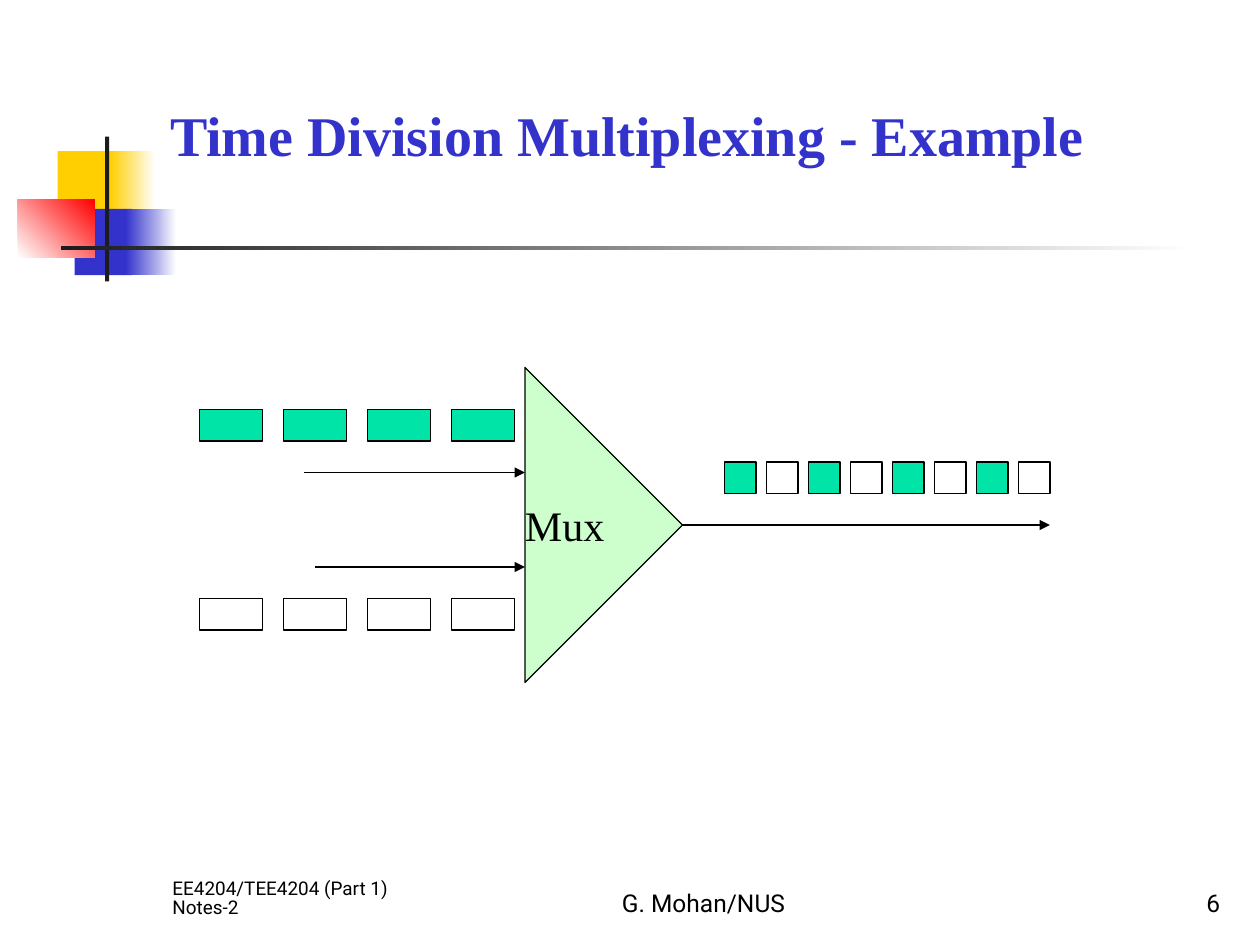
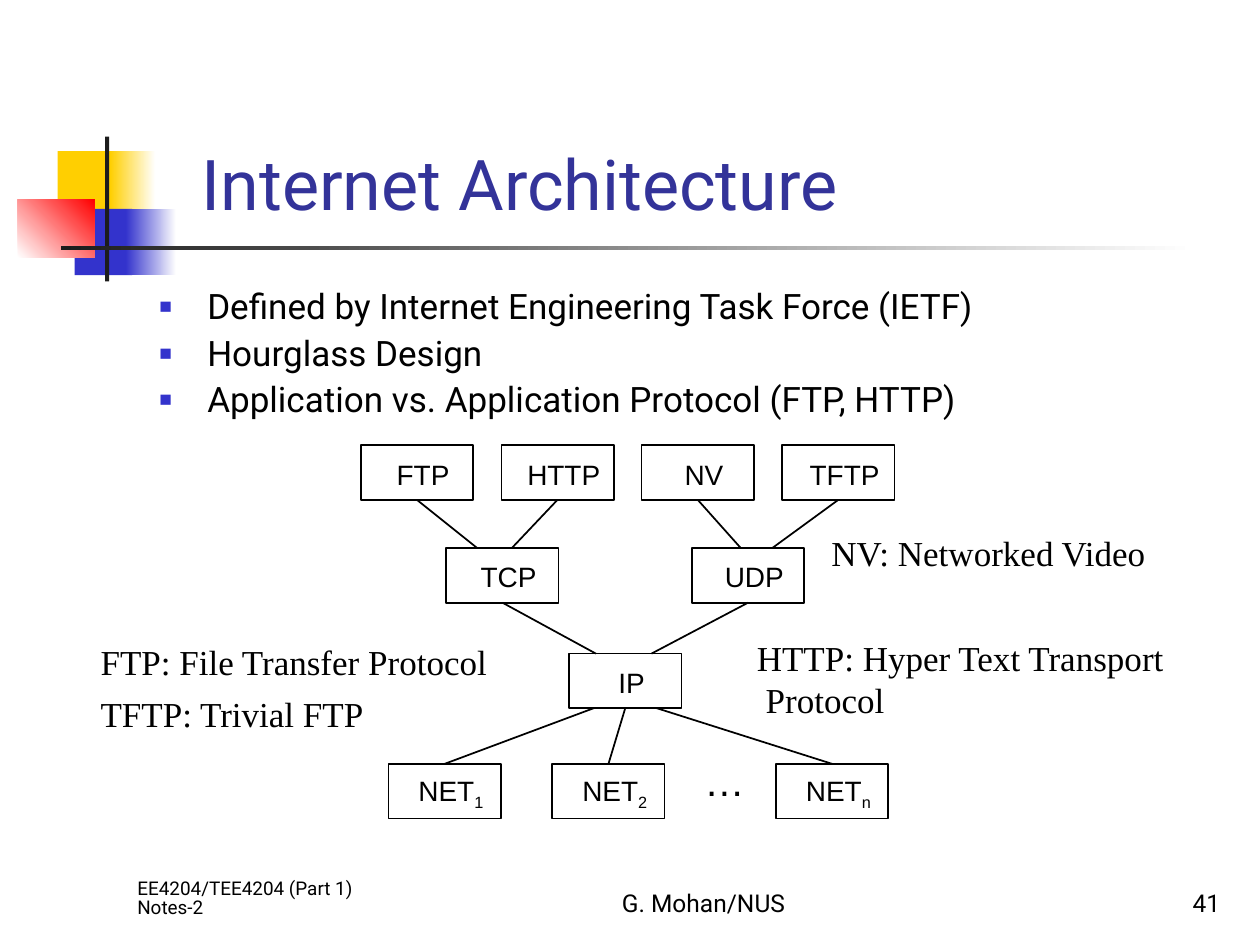
from lxml.etree import SubElement
from pptx import Presentation
from pptx.dml.color import RGBColor
from pptx.enum.shapes import MSO_CONNECTOR, MSO_SHAPE
from pptx.enum.text import MSO_ANCHOR, MSO_AUTO_SIZE, PP_ALIGN
from pptx.oxml.ns import qn
from pptx.util import Inches, Pt

BLACK, WHITE, BLUE, YELLOW = "000000", "FFFFFF", "3333CC", "FFCF01"
CHARCOAL, RED, GREEN, MINT = "1C1C1C", "FF0000", "00E4A8", "CCFFCC"
SERIF, SANS, LABEL = "Times New Roman", "Roboto", "Arial"
CELL = 1 / 12


def place(slide, box, kind=MSO_SHAPE.RECTANGLE, fill=None, outline=None, angle=0):
    area = [Inches(cells * CELL) for cells in box]
    if kind is None:
        return slide.shapes.add_textbox(*area)
    shape = slide.shapes.add_shape(kind, *area)
    shape.shadow.inherit = False
    if isinstance(fill, tuple):
        shape.fill.gradient()
        shape.fill.gradient_angle = angle
        for stop, shade in zip(shape.fill.gradient_stops, fill):
            stop.color.rgb = RGBColor.from_string(shade)
    elif fill:
        shape.fill.solid()
        shape.fill.fore_color.rgb = RGBColor.from_string(fill)
    else:
        shape.fill.background()
    if outline:
        shape.line.color.rgb = RGBColor.from_string(BLACK)
        shape.line.width = Pt(outline)
    else:
        shape.line.fill.background()
    return shape


def write(shape, text, font=SERIF, size=20, color=BLACK, bold=False, align=PP_ALIGN.LEFT,
          anchor=MSO_ANCHOR.TOP, margins=(0.1, 0.05, 0.1, 0.05), spacing=1.0,
          before=0, bullet=None, subscript=None):
    frame = shape.text_frame
    frame.word_wrap = True
    frame.auto_size = MSO_AUTO_SIZE.NONE
    frame.vertical_anchor = anchor
    frame.margin_left, frame.margin_top, frame.margin_right, frame.margin_bottom = map(Inches, margins)
    for index, line in enumerate(text.split("\n")):
        paragraph = frame.add_paragraph() if index else frame.paragraphs[0]
        paragraph.alignment = align
        paragraph.line_spacing = spacing
        paragraph.space_before = Pt(before if index else 0)
        if bullet:
            properties = paragraph._p.get_or_add_pPr()
            properties.set("marL", str(Inches(0.38)))
            properties.set("indent", str(-Inches(0.38)))
            SubElement(SubElement(properties, qn("a:buClr")), qn("a:srgbClr"), val=BLUE)
            SubElement(properties, qn("a:buSzPct"), val="60000")
            SubElement(properties, qn("a:buFont"), typeface=LABEL)
            SubElement(properties, qn("a:buChar"), char=bullet)
        for part in filter(None, (line, subscript)):
            run = paragraph.add_run()
            run.text = part
            run.font.name = font
            run.font.size = Pt(size)
            run.font.bold = bold
            run.font.color.rgb = RGBColor.from_string(color)
            if part is subscript:
                run.font._element.set("baseline", "-25000")


deck = Presentation()
deck.slide_width, deck.slide_height = Inches(10), Inches(7.5)
title_only = deck.slide_layouts[5]
multiplexing = deck.slides.add_slide(title_only)
architecture = deck.slides.add_slide(title_only)

ornaments = [
    ((5.5, 14.4, 5.8, 6.3), YELLOW, 0),
    ((10.5, 14.4, 4.3, 6.3), (YELLOW, WHITE), 0),
    ((7.1, 19.9, 5.5, 6.3), BLUE, 0),
    ((12, 19.9, 4.8, 6.3), (BLUE, WHITE), 0),
    ((1.7, 19, 7.3, 5.5), (WHITE, RED), 45),
    ((10, 13, 0.4, 13.8), CHARCOAL, 0),
    ((5.8, 23.4, 108, 0.4), (CHARCOAL, WHITE), 0),
]
headings = [
    (multiplexing, "Time Division Multiplexing - Example", (15, 9, 94, 7.7),
     dict(size=32, color=BLUE, bold=True), 15.25, "6"),
    (architecture, "Internet Architecture", (18, 7, 102, 15),
     dict(font=SANS, size=40, color="333399", anchor=MSO_ANCHOR.BOTTOM), 11.9, "41"),
]
for slide, heading, box, style, course_left, number in headings:
    for area, fill, angle in ornaments:
        place(slide, area, fill=fill, angle=angle)
    title = slide.shapes.title
    title.left, title.top, title.width, title.height = [Inches(cells * CELL) for cells in box]
    write(title, heading, **style)
    footers = [
        ("EE4204/TEE4204 (Part 1) Notes-2", course_left, 25, 10.8, PP_ALIGN.LEFT, 0.8),
        ("G. Mohan/NUS", 48, 38, 14, PP_ALIGN.CENTER, 1.0),
        (number, 92.4, 25, 14, PP_ALIGN.RIGHT, 1.0),
    ]
    for text, left, width, size, align, spacing in footers:
        write(place(slide, (left, 82, width, 6), None), text, font=SANS, size=size,
              align=align, anchor=MSO_ANCHOR.BOTTOM, spacing=spacing)

mux = place(multiplexing, (42.5, 42.5, 30, 15), MSO_SHAPE.ISOSCELES_TRIANGLE, MINT, 0.75)
mux.rotation = 90
write(place(multiplexing, (50, 47, 10, 6), None), "Mux", size=24,
      anchor=MSO_ANCHOR.MIDDLE, margins=(0, 0, 0, 0))
for top, fill in [(39, GREEN), (57, WHITE)]:
    for slot in range(4):
        place(multiplexing, (19 + 8 * slot, top, 6, 3), fill=fill, outline=0.75)
for slot in range(8):
    place(multiplexing, (69 + 4 * slot, 44, 3, 3), fill=(GREEN, WHITE)[slot % 2:][0], outline=0.75)

lines = [
    (multiplexing, (29, 45, 50, 45), 0.75, True),
    (multiplexing, (30, 54, 50, 54), 0.75, True),
    (multiplexing, (65, 50, 100, 50), 0.75, True),
]

write(place(architecture, (14, 27, 106, 54), None),
      "Defined by Internet Engineering Task Force (IETF)\nHourglass Design\n"
      "Application vs. Application Protocol (FTP, HTTP)",
      font=SANS, spacing=0.9, before=5, bullet="■")

box_width, box_height = 10.7, 5.2
layers = [
    (42.4, [("FTP", None, 34.35), ("HTTP", None, 47.75), ("NV", None, 61.1), ("TFTP", None, 74.5)]),
    (52.2, [("TCP", None, 42.5), ("UDP", None, 65.9)]),
    (62.25, [("IP", None, 54.2)]),
    (72.75, [("NET", "1", 37), ("NET", "2", 52.6), ("NET", "n", 73.9)]),
]
protocols = {}
for top, members in layers:
    for name, subscript, left in members:
        box = place(architecture, (left, top, box_width, box_height), outline=1)
        write(box, name, font=LABEL, size=16, align=PP_ALIGN.CENTER, anchor=MSO_ANCHOR.MIDDLE,
              margins=(0.1, 0.02, 0, 0), subscript=subscript)
        protocols[name + (subscript or "")] = (left + box_width / 2, top)

links = [
    ("FTP", "TCP", 0, -2.4), ("HTTP", "TCP", 0, 0.9),
    ("NV", "UDP", 0, -0.7), ("TFTP", "UDP", 0, 2.3),
    ("TCP", "IP", 0, -2.8), ("UDP", "IP", 0, 2.5),
    ("IP", "NET1", -3, 0), ("IP", "NET2", 0, 0), ("IP", "NETn", 3, 0),
]
for upper, lower, upper_shift, lower_shift in links:
    upper_x, upper_y = protocols[upper]
    lower_x, lower_y = protocols[lower]
    ends = (upper_x + upper_shift, upper_y + box_height, lower_x + lower_shift, lower_y)
    lines.append((architecture, ends, 1, False))

for slide, ends, width, arrow in lines:
    link = slide.shapes.add_connector(MSO_CONNECTOR.STRAIGHT, *[Inches(cells * CELL) for cells in ends])
    link.line.color.rgb = RGBColor.from_string(BLACK)
    link.line.width = Pt(width)
    if arrow:
        SubElement(link.line._get_or_add_ln(), qn("a:tailEnd"), type="triangle")
    SubElement(link._element.spPr, qn("a:effectLst"))

write(place(architecture, (67, 72, 4, 4.6), None), "…", font=LABEL, size=23,
      align=PP_ALIGN.CENTER, margins=(0, 0, 0, 0))
abbreviations = [
    ("FTP: File Transfer Protocol", (8.4, 60.4, 53, 5.3)),
    ("TFTP: Trivial FTP", (8.4, 65.4, 37, 5.3)),
    ("NV: Networked Video", (78, 50, 39, 5.3)),
    ("HTTP: Hyper Text Transport\nProtocol", (70.9, 60, 43, 9.2)),
]
for text, box in abbreviations:
    meaning = place(architecture, box, None)
    write(meaning, text)
    for continuation in meaning.text_frame.paragraphs[1:]:
        continuation._p.get_or_add_pPr().set("marL", str(Inches(0.07)))

deck.save("out.pptx")
